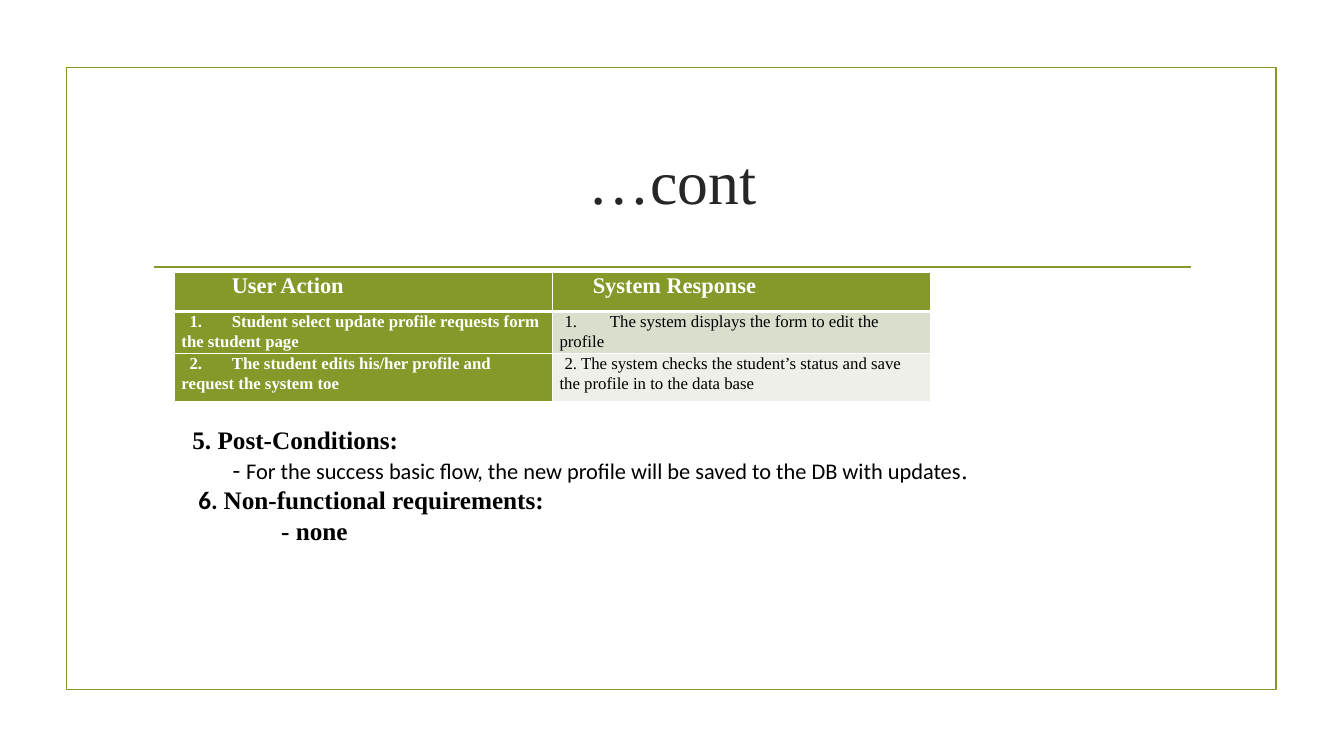
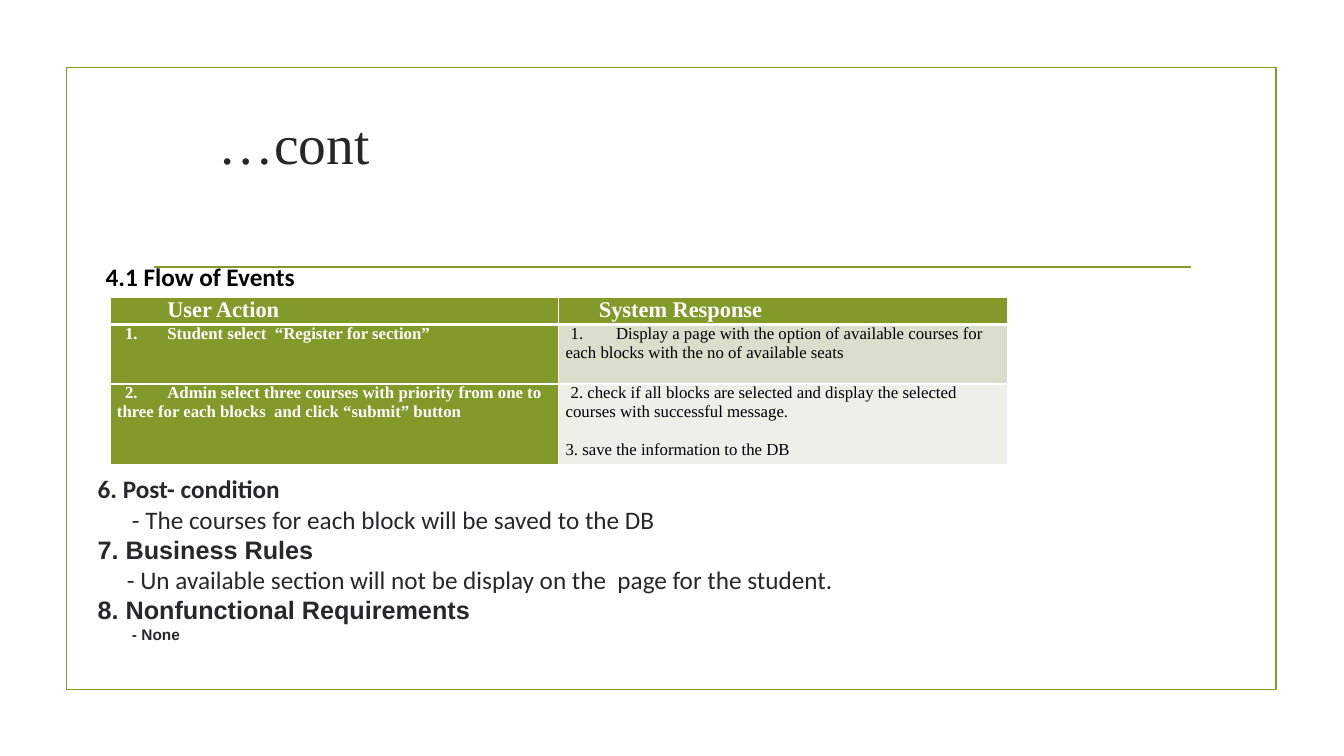
from lxml import etree
from pptx import Presentation
from pptx.dml.color import RGBColor
from pptx.enum import shapes, text
from pptx.oxml import ns
from pptx.util import Inches, Pt

GREEN, WHITE, BLACK = "83992A", "FFFFFF", "000000"
TITLE_INK, BODY_INK = "262626", "26282A"
ROW_TINTS = ["D9DECD", "EDEFE8"]
SERIF, SANS, ARIAL = "Times New Roman", "Calibri", "Arial"
HEADERS = [("User Action", 0.5), ("System Response", 0.33)]
TAB_STOPS = [0.33, 0.24]
FIRST_LINES = [0.08, 0.05]

# Body lines: left indent, then runs of (text, size, font, bold).
SLIDES = [
    {
        "title": {"height": 1.43, "size": 44, "align": "CENTER", "indent": 0},
        "table": {
            "at": (1.73, 2.7), "column": 3.75, "rows": [0.39, 0.42, 0.47],
            "spacing": 1.07,
            "steps": [
                (["1.\tStudent select update profile requests form the student page"],
                 ["1.\tThe system displays the form to edit the profile"]),
                (["2.\tThe student edits his/her profile and request the system toe"],
                 ["2. The system checks the student’s status and save the profile in to the data base"]),
            ],
        },
        "texts": [
            {"at": (1.81, 4.16, 8.19, 1.3), "color": BLACK, "lines": [
                (0, [("5. Post-Conditions:", 18, SERIF, True)]),
                (0.4, [("- ", 18, SANS, False),
                       ("For the success basic flow, the new profile will be saved to the DB with updates",
                        16, SANS, False),
                       (".", 18, SERIF, False)]),
                (0.06, [("6. ", 18, SANS, True),
                        ("Non-functional requirements:", 18, SERIF, True)]),
                (0.88, [("- none", 18, SERIF, True)]),
            ]},
        ],
    },
    {
        "title": {"height": 0.68, "size": 39.6, "align": "LEFT", "indent": 0.65},
        "table": {
            "at": (1.09, 2.95), "column": 4.45, "rows": [0.27, 0.59, 0.8],
            "spacing": 1,
            "steps": [
                (["1.\tStudent select  “Register for section”"],
                 ["1.\tDisplay a page with the option of available courses for each blocks "
                  "with the no of available seats"]),
                (["2.\tAdmin select three courses with priority from one to three for each blocks  "
                  "and click “submit” button"],
                 ["2. check if all blocks are selected and display the selected courses "
                  "with successful message.",
                  "3. save the information to the DB"]),
            ],
        },
        "texts": [
            {"at": (0.87, 4.65, 11.51, 1.9), "color": BODY_INK, "lines": [
                (0, [("6. Post- condition", 18, SANS, True)]),
                (0.34, [("- The courses for each block will be saved to the DB", 18, SANS, False)]),
                (0, [("7. Business Rules", 18, ARIAL, True)]),
                (0.29, [("- Un available section will not be display on the  page for the student.",
                         18, SANS, False)]),
                (0, [("8. Nonfunctional Requirements", 18, ARIAL, True)]),
                (0.34, [("- None", 11, ARIAL, True)]),
            ]},
            {"at": (0.95, 2.54, 2.8, 0.4), "color": BLACK, "lines": [
                (0, [("4.1 Flow of Events", 18, SANS, True)]),
            ]},
        ],
    },
]


def rgb(value):
    return RGBColor.from_string(value)


def inches(values):
    return [Inches(value) for value in values]


def add_run(paragraph, words, size, font, bold, color):
    run = paragraph.add_run()
    run.text = words
    run.font.size, run.font.name, run.font.bold = Pt(size), font, bold
    run.font.color.rgb = rgb(color)


def indent(paragraph, left=0, first=0, tab=None):
    """Set the left margin, the first-line indent and one tab stop, in inches."""
    props = paragraph._p.get_or_add_pPr()
    props.set("marL", str(Inches(left)))
    props.set("indent", str(Inches(first)))
    if tab:
        stops = etree.SubElement(props, ns.qn("a:tabLst"))
        etree.SubElement(stops, ns.qn("a:tab"), pos=str(Inches(tab)), algn="l")


def paragraphs(frame, items):
    """Pair each item with its own paragraph of the frame."""
    for i, item in enumerate(items):
        yield (frame.add_paragraph() if i else frame.paragraphs[0]), item


def add_frame(slide):
    border = slide.shapes.add_shape(shapes.MSO_SHAPE.RECTANGLE, *inches((0.66, 0.67, 12, 6.17)))
    border.shadow.inherit = False
    border.fill.background()
    rule = slide.shapes.add_connector(shapes.MSO_CONNECTOR.STRAIGHT, *inches((1.53, 2.65, 11.81, 2.65)))
    etree.SubElement(rule._element.spPr, ns.qn("a:effectLst"))
    for part in (border, rule):
        part.line.color.rgb = rgb(GREEN)
        part.line.width = Pt(1.25)


def set_title(slide, height, size, align, indent_left):
    title = slide.shapes.title
    title.left, title.top, title.width, title.height = inches((1.42, 1.07, 10.5, height))
    frame = title.text_frame
    frame.auto_size = text.MSO_AUTO_SIZE.NONE
    frame.vertical_anchor = text.MSO_ANCHOR.MIDDLE
    paragraph = frame.paragraphs[0]
    paragraph.alignment = getattr(text.PP_ALIGN, align)
    indent(paragraph, indent_left)
    add_run(paragraph, "…cont", size, SERIF, False, TITLE_INK)


def style_cell(cell, fill, top=1, bottom=1):
    """Set margins, white borders (widths in points) and fill."""
    cell.margin_left = cell.margin_right = Inches(0.07)
    cell.margin_top = cell.margin_bottom = 0
    props = cell._tc.get_or_add_tcPr()
    for side, width in zip("LRTB", (1, 1, top, bottom)):
        line = etree.SubElement(props, ns.qn("a:ln" + side), w=str(Pt(width)))
        solid = etree.SubElement(line, ns.qn("a:solidFill"))
        etree.SubElement(solid, ns.qn("a:srgbClr"), val=WHITE)
    cell.fill.solid()
    cell.fill.fore_color.rgb = rgb(fill)


def add_flow(slide, at, column, rows, spacing, steps):
    table = slide.shapes.add_table(
        len(rows), 2, *inches((*at, 2 * column, sum(rows)))).table
    for row, height in zip(table.rows, rows):
        row.height = Inches(height)
    for c, (header, offset) in enumerate(HEADERS):
        table.columns[c].width = Inches(column)
        head = table.cell(0, c)
        style_cell(head, GREEN, bottom=3)
        paragraph = head.text_frame.paragraphs[0]
        paragraph.line_spacing = float(spacing)
        indent(paragraph, offset)
        add_run(paragraph, header, 16, SERIF, True, WHITE)

        for r, step in enumerate(steps):
            cell = table.cell(r + 1, c)
            is_action = c == 0
            style_cell(cell, GREEN if is_action else ROW_TINTS[r], top=1 if r else 3)
            for i, (paragraph, words) in enumerate(paragraphs(cell.text_frame, step[c])):
                paragraph.line_spacing = float(spacing)
                if i:
                    paragraph.space_before = Pt(14)
                indent(paragraph, first=0 if i else FIRST_LINES[c],
                       tab=TAB_STOPS[c] if "\t" in words else None)
                add_run(paragraph, words, 12, SERIF, is_action, WHITE if is_action else BLACK)


def add_text(slide, at, color, lines):
    frame = slide.shapes.add_textbox(*inches(at)).text_frame
    frame.word_wrap = True
    for paragraph, (left, runs) in paragraphs(frame, lines):
        indent(paragraph, left)
        for run in runs:
            add_run(paragraph, *run, color)


def main():
    deck = Presentation()
    deck.slide_width, deck.slide_height = inches((13.33, 7.5))
    for content in SLIDES:
        slide = deck.slides.add_slide(deck.slide_layouts[5])
        add_frame(slide)
        set_title(slide, *content["title"].values())
        add_flow(slide, **content["table"])
        for block in content["texts"]:
            add_text(slide, **block)
    deck.save("out.pptx")


if __name__ == "__main__":
    main()
